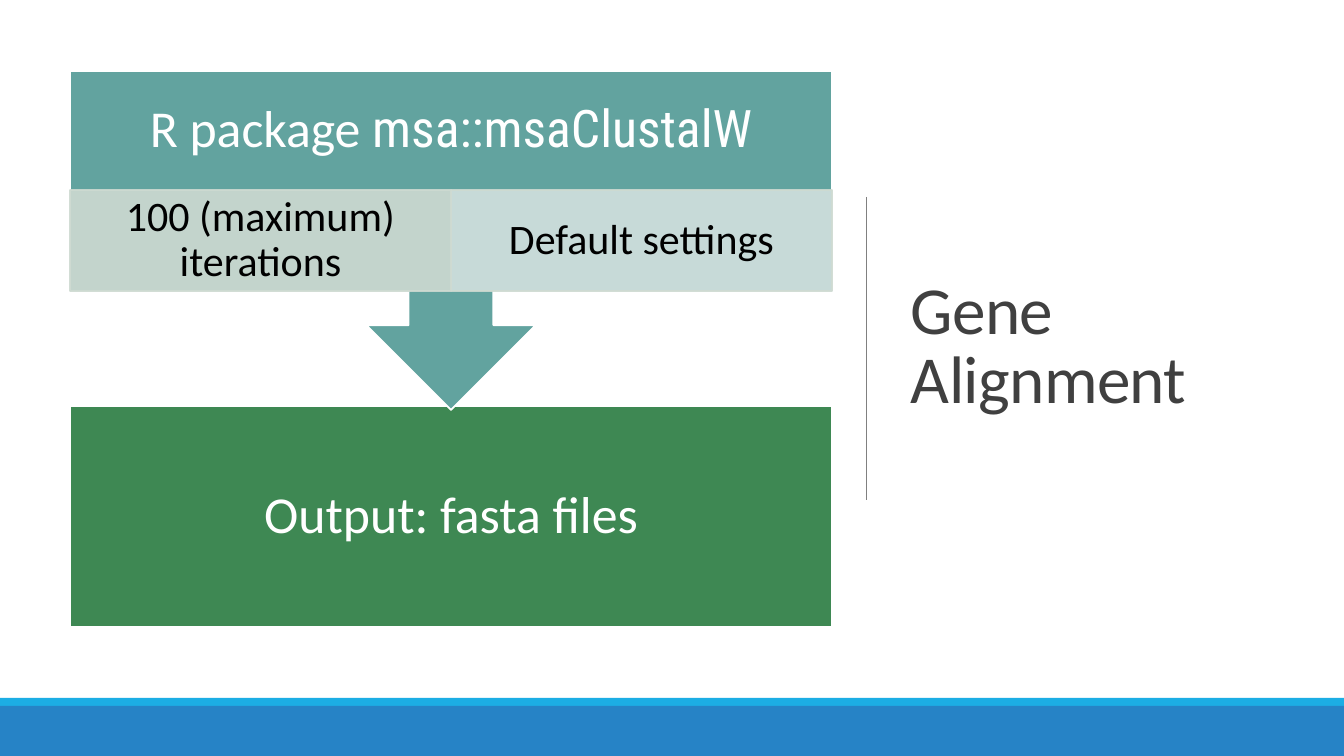
from lxml.etree import SubElement
from pptx import Presentation
from pptx.dml.color import RGBColor
from pptx.enum.shapes import MSO_CONNECTOR, MSO_SHAPE
from pptx.enum.text import MSO_ANCHOR, PP_ALIGN
from pptx.oxml.ns import qn
from pptx.util import Pt

EMU_PER_PX = 914400 / 100.8

WHITE = RGBColor(0xFF, 0xFF, 0xFF)
BLACK = RGBColor(0x00, 0x00, 0x00)
TITLE_GREY = RGBColor(0x40, 0x40, 0x40)
RULE_GREY = RGBColor(0x80, 0x80, 0x80)
BLUE = RGBColor(0x26, 0x83, 0xC6)
CYAN = RGBColor(0x1C, 0xAD, 0xE4)
GREEN = RGBColor(0x3E, 0x88, 0x53)
TEAL = RGBColor(0x62, 0xA3, 0x9F)
PALE_GREEN = RGBColor(0xCE, 0xDA, 0xD1)
PALE_TEAL = RGBColor(0xD3, 0xE0, 0xDF)

BODY_FONT = "Calibri"
CODE_FONT = "Roboto Condensed"

# Diagram column shared by all steps
LEFT, WIDTH = 70, 762


def px(*lengths):
    return [round(length * EMU_PER_PX) for length in lengths]


def set_alpha(color_format_parent, percent):
    for color in color_format_parent.iter(qn("a:srgbClr")):
        SubElement(color, qn("a:alpha")).set("val", str(percent * 1000))


def add_block(page, kind, left, top, width, height, fill, line=None, alpha=None):
    block = page.shapes.add_shape(kind, *px(left, top, width, height))
    block.shadow.inherit = False
    block.fill.solid()
    block.fill.fore_color.rgb = fill
    if line is None:
        block.line.fill.background()
    else:
        block.line.color.rgb = line
        block.line.width = Pt(1.25)
    if alpha is not None:
        set_alpha(block.fill._xPr, alpha)
    return block


def write_text(box, *pieces, size, color, align=PP_ALIGN.CENTER, line_spacing=0.9,
               insets=(29, 29, 29, 29), tracking=None):
    """Write one paragraph; each piece is a (text, font name) pair."""
    frame = box.text_frame
    frame.word_wrap = True
    frame.vertical_anchor = MSO_ANCHOR.MIDDLE
    (frame.margin_left, frame.margin_top,
     frame.margin_right, frame.margin_bottom) = px(*insets)
    para = frame.paragraphs[0]
    para.alignment = align
    para.line_spacing = line_spacing
    for text, font in pieces:
        span = para.add_run()
        span.text = text
        span.font.name = font
        span.font.size = Pt(size)
        span.font.color.rgb = color
        if tracking is not None:
            span.font._element.set("spc", str(tracking))


def add_rule(page, x, top, bottom):
    rule = page.shapes.add_connector(MSO_CONNECTOR.STRAIGHT, *px(x, top, x, bottom))
    rule.line.color.rgb = RULE_GREY
    rule.line.width = Pt(0.5)
    SubElement(rule._element.spPr, qn("a:effectLst"))


def add_settings(page, settings, top, height):
    cell_width = WIDTH // len(settings)
    for index, (text, fill) in enumerate(settings):
        cell = add_block(page, MSO_SHAPE.RECTANGLE, LEFT + index * cell_width, top,
                         cell_width, height, fill, PALE_GREEN, alpha=90)
        write_text(cell, (text, BODY_FONT), size=30, color=BLACK,
                   insets=(23, 4, 23, 4))


def main():
    deck = Presentation()
    deck.slide_width, deck.slide_height = px(1344, 756)
    page = deck.slides.add_slide(deck.slide_layouts[6])

    # Footer bands
    add_block(page, MSO_SHAPE.RECTANGLE, 0, 698, 1344, 8, CYAN)
    add_block(page, MSO_SHAPE.RECTANGLE, 0, 706, 1344, 50, BLUE)

    # Title and divider
    title = page.shapes.add_textbox(*px(901, 70, 372, 557))
    write_text(title, ("Gene Alignment", BODY_FONT), size=48, color=TITLE_GREY,
               align=PP_ALIGN.LEFT, line_spacing=0.85, insets=(10, 5, 10, 5),
               tracking=-50)
    add_rule(page, 866, 197, 500)

    # Output step
    output = add_block(page, MSO_SHAPE.RECTANGLE, LEFT, 406, WIDTH, 221, GREEN, WHITE)
    write_text(output, ("Output: fasta files", BODY_FONT), size=37, color=WHITE)

    # Alignment step, its heading kept above the settings
    alignment = add_block(page, MSO_SHAPE.DOWN_ARROW_CALLOUT, LEFT, 71, WIDTH, 339,
                          TEAL, WHITE)
    write_text(alignment, ("R package ", BODY_FONT), ("msa::msaClustalW", CODE_FONT),
               size=37, color=WHITE, insets=(29, 29, 29, 130))
    add_settings(page, [("100 (maximum) iterations", PALE_GREEN),
                        ("Default settings", PALE_TEAL)], top=190, height=101)

    deck.save("out.pptx")


if __name__ == "__main__":
    main()
